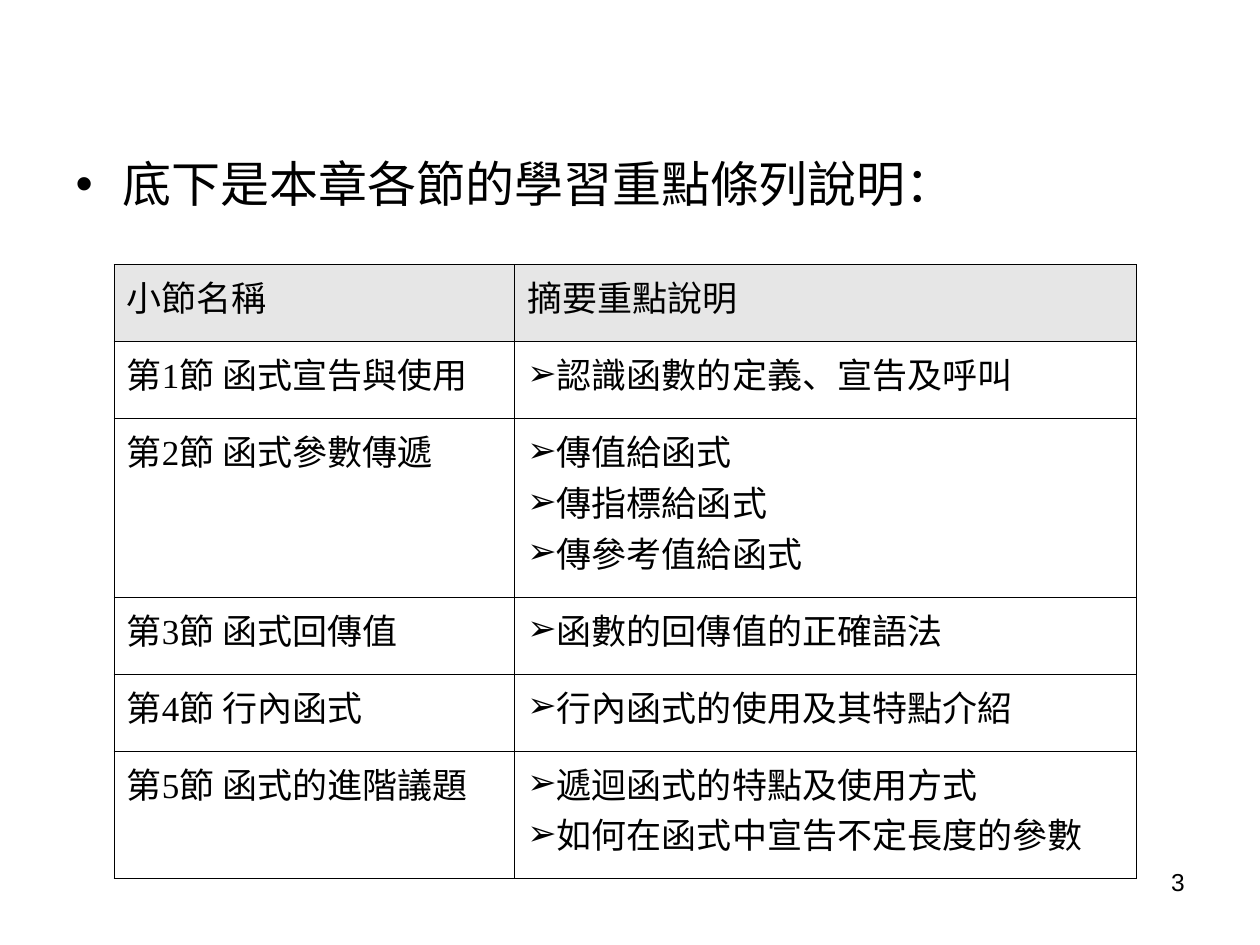
from lxml import etree
from pptx import Presentation
from pptx import util as u
from pptx.dml.color import RGBColor
from pptx.enum import text
from pptx.oxml.ns import qn

BLACK = "000000"
HEADER_FILL = "E6E6E6"
SECTIONS = [
    ("第1節 函式宣告與使用", ["認識函數的定義、宣告及呼叫"]),
    ("第2節 函式參數傳遞", ["傳值給函式", "傳指標給函式", "傳參考值給函式"]),
    ("第3節 函式回傳值", ["函數的回傳值的正確語法"]),
    ("第4節 行內函式", ["行內函式的使用及其特點介紹"]),
    ("第5節 函式的進階議題", ["遞迴函式的特點及使用方式", "如何在函式中宣告不定長度的參數"]),
]


def color(value):
    """Turn a hex string into a colour."""
    return RGBColor.from_string(value)


def add_color(parent, value):
    """Append a plain colour element."""
    etree.SubElement(parent, qn("a:srgbClr"), val=value)


def set_bullet(paragraph, character, indent=0):
    """Give a paragraph a black bullet with a hanging indent."""
    properties = paragraph._p.get_or_add_pPr()
    properties.set("marL", str(u.Pt(indent)))
    properties.set("indent", str(u.Pt(-indent)))
    add_color(etree.SubElement(properties, qn("a:buClr")), BLACK)
    etree.SubElement(properties, qn("a:buFont"), typeface="Arial")
    etree.SubElement(properties, qn("a:buChar"), char=character)


def format_runs(paragraph, font_name, size):
    """Format every run of a paragraph."""
    for run in paragraph.runs:
        run.font.name = font_name
        run.font.size = u.Pt(size)
        run.font.color.rgb = color(BLACK)


def set_borders(cell):
    """Draw thin black lines on all four sides of a cell."""
    properties = cell._tc.get_or_add_tcPr()
    for side in ("lnL", "lnR", "lnT", "lnB"):
        line = etree.SubElement(properties, qn(f"a:{side}"), w=str(u.Pt(0.45)))
        add_color(etree.SubElement(line, qn("a:solidFill")), BLACK)


def fill_cell(cell, lines, bullet=None, fill=None):
    """Write the lines of a cell and style it."""
    set_borders(cell)
    if fill:
        cell.fill.solid()
        cell.fill.fore_color.rgb = color(fill)
    else:
        cell.fill.background()
    cell.text_frame.text = "\n".join(lines)
    for paragraph in cell.text_frame.paragraphs:
        if bullet:
            set_bullet(paragraph, bullet)
        format_runs(paragraph, "Times New Roman", 20)


def add_intro(slide):
    """Fill the body placeholder with the introductory bullet."""
    body = slide.placeholders[1]
    body.left, body.top = u.Pt(36), u.Pt(84.24)
    body.width, body.height = u.Pt(582.5), u.Pt(396)
    body.text_frame.text = "底下是本章各節的學習重點條列說明："
    paragraph = body.text_frame.paragraphs[0]
    set_bullet(paragraph, "•", 27)
    paragraph.space_before = u.Pt(0)
    format_runs(paragraph, "Arial", 28)


def add_section_table(slide):
    """Add the table of sections and their key points."""
    heights = [44] + [15 + 29 * len(points) for _, points in SECTIONS]
    frame = slide.shapes.add_table(
        len(heights), 2, u.Pt(65.2), u.Pt(151.2), u.Pt(584), u.Pt(sum(heights)))
    table = frame.table
    for column, width in zip(table.columns, (229, 355)):
        column.width = u.Pt(width)
    for row, height in zip(table.rows, heights):
        row.height = u.Pt(height)
    for index, heading in enumerate(("小節名稱", "摘要重點說明")):
        fill_cell(table.cell(0, index), [heading], fill=HEADER_FILL)
    for index, (name, points) in enumerate(SECTIONS, 1):
        fill_cell(table.cell(index, 0), [name])
        fill_cell(table.cell(index, 1), points, bullet="➢")


def add_page_number(slide):
    """Add the page number at the bottom right."""
    box = slide.shapes.add_textbox(u.Pt(516), u.Pt(491.8), u.Pt(168), u.Pt(37.5))
    box.text_frame.word_wrap = True
    box.text_frame.text = "3"
    paragraph = box.text_frame.paragraphs[0]
    paragraph.alignment = text.PP_ALIGN.RIGHT
    format_runs(paragraph, "Arial", 14)


def main():
    """Build and save the presentation."""
    presentation = Presentation()
    presentation.slide_width, presentation.slide_height = u.Pt(720), u.Pt(540)
    slide = presentation.slides.add_slide(presentation.slide_layouts[1])
    title = slide.shapes.title._element
    title.getparent().remove(title)
    add_intro(slide)
    add_section_table(slide)
    add_page_number(slide)
    presentation.save("out.pptx")


if __name__ == "__main__":
    main()
